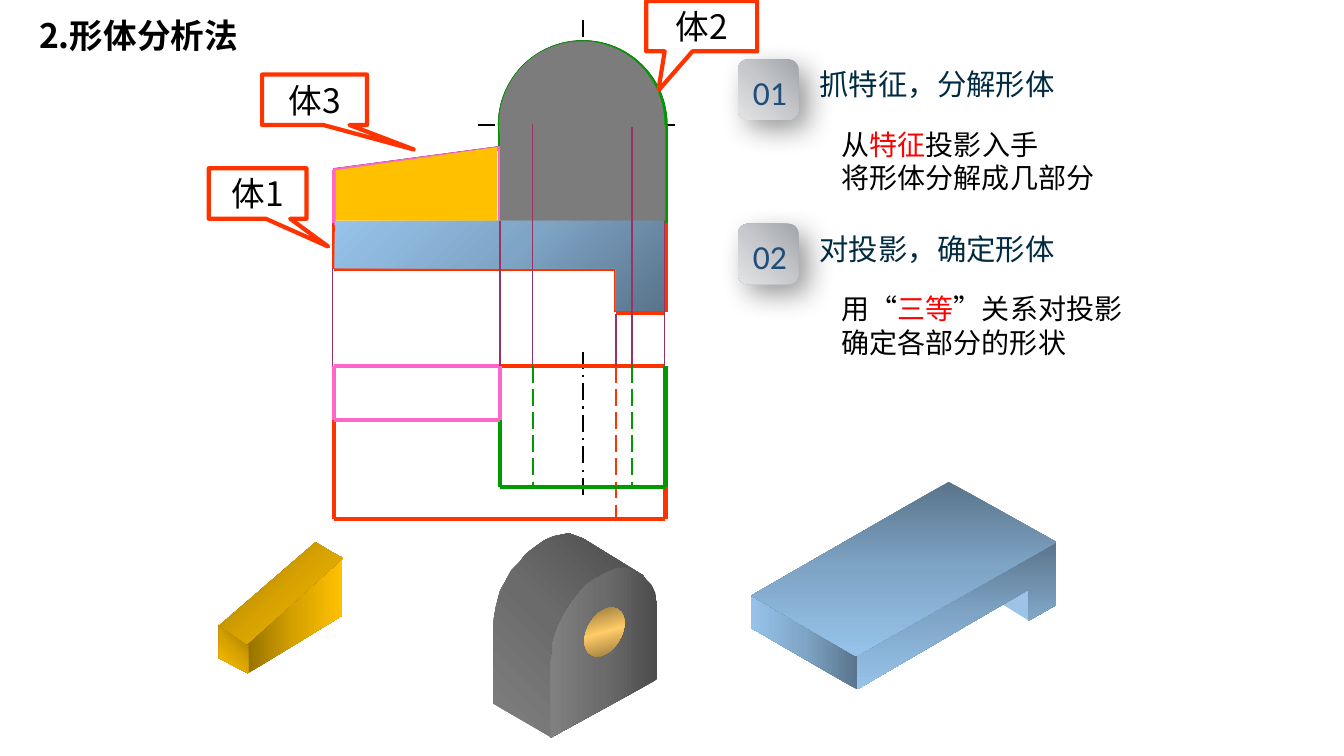
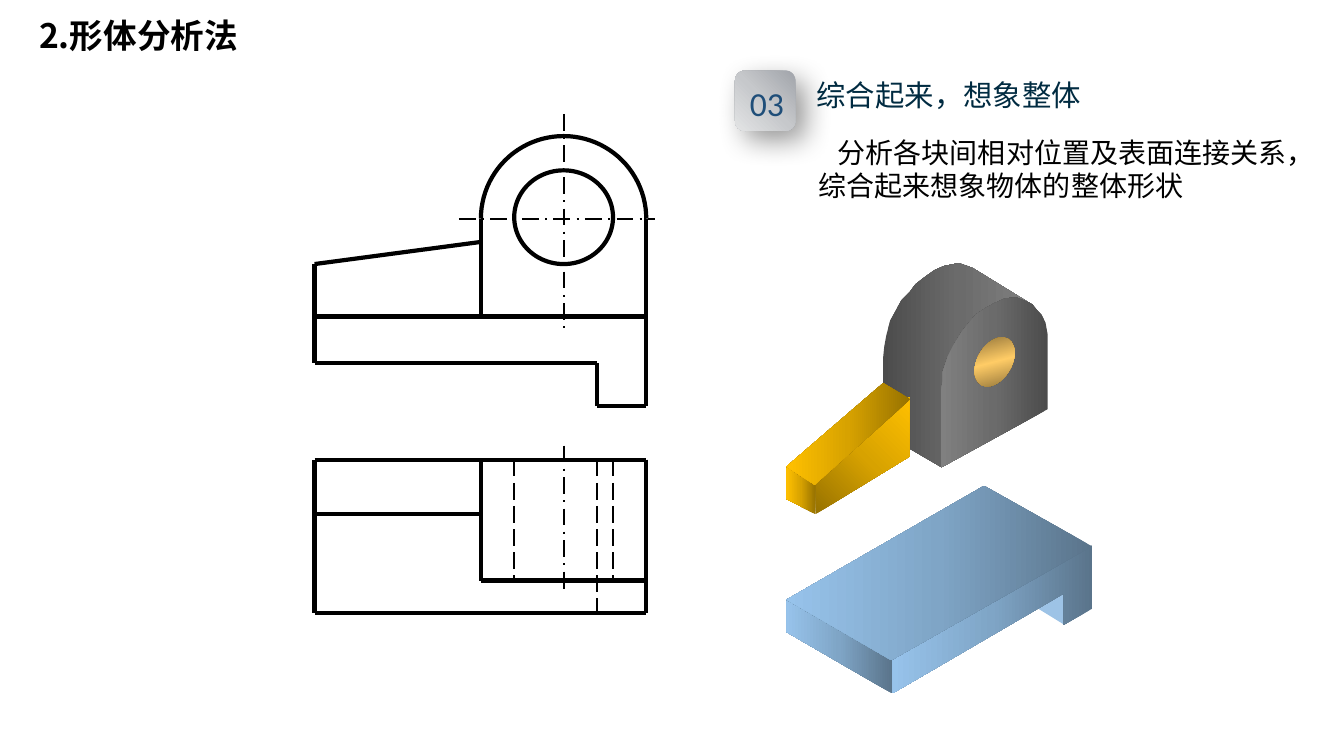
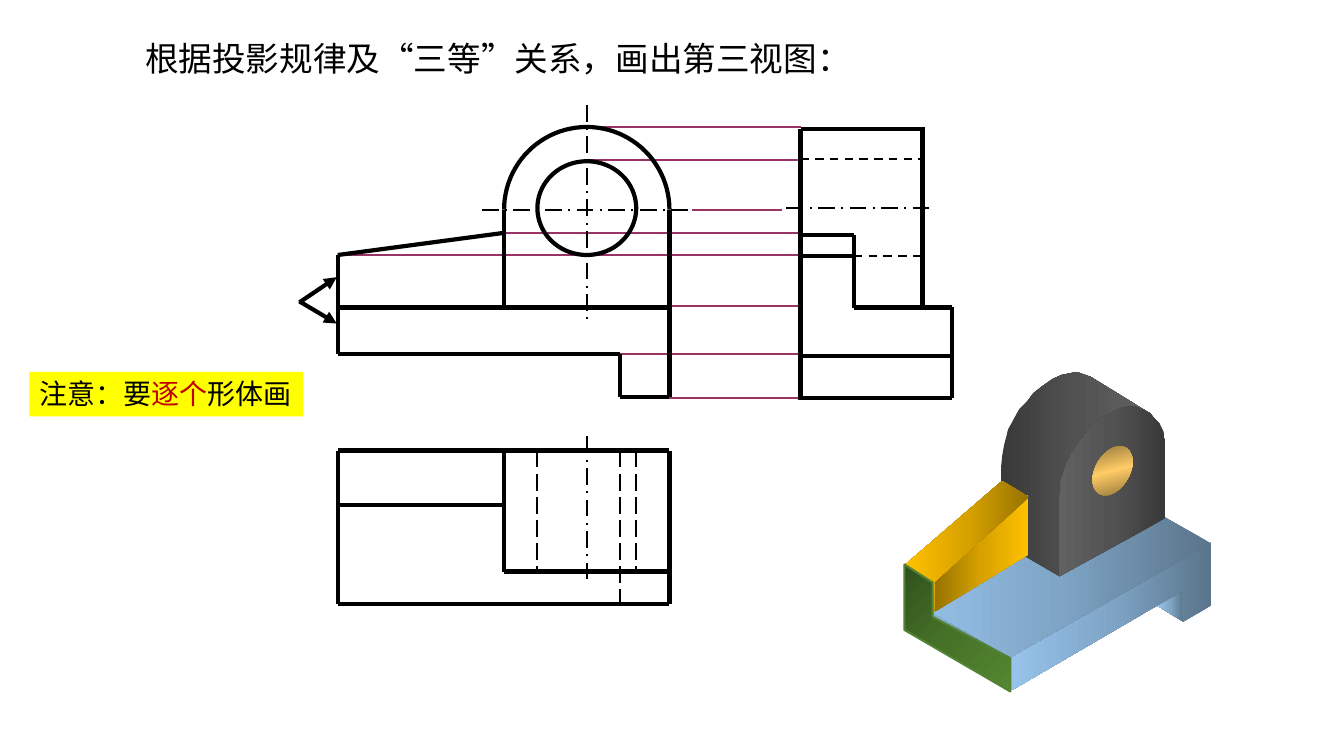
from math import cos, pi, sin

from lxml.etree import SubElement
from pptx import Presentation
from pptx.dml.color import RGBColor
from pptx.enum.dml import MSO_LINE
from pptx.enum.shapes import MSO_CONNECTOR, MSO_SHAPE
from pptx.enum.text import MSO_ANCHOR, MSO_AUTO_SIZE, PP_ALIGN
from pptx.oxml.ns import qn
from pptx.util import Inches, Pt

BLACK, WHITE, RED = "000000", "FFFFFF", "FF0000"
ORANGE, GREEN, PINK, MAUVE = "FF3300", "009900", "FF66CC", "993366"
BLUES = ("5A748B", "7FA5C6", "97C3EB")
GOLDS = ("977200", "D7A200", "FFC000")
GRAYS = ("4C4C4C", "6B6B6B", "808080")
DARK_GRAYS = ("393939", "525252", "616161")
BRASS = ("765E2F", "FFCC66", "765E2F")
GREENS = ("31501C", "467228", "538730")
SILVERS = ("A1A4AA", "C6C8CB", "E3E4E5")
CJK, LATIN = "Noto Sans CJK SC", "Calibri"

LEFT, MIDDLE, BORE_LEFT, CENTRE, FOOT, BORE_RIGHT, RIGHT = 3.31, 4.96, 5.29, 5.78, 6.11, 6.27, 6.6
ARCH_TOP, AXIS, PEAK, SLOPE_END, BASE, UNDER, BOTTOM = 0.42, 1.24, 1.47, 1.69, 2.21, 2.67, 3.1
BACK, RIB_FRONT, ARCH_FRONT, FRONT = 3.63, 4.17, 4.83, 5.15
RADIUS = RIGHT - CENTRE

SLAB_LINES = [
    (LEFT, BASE, RIGHT, BASE), (FOOT, BOTTOM, RIGHT, BOTTOM), (LEFT, UNDER, FOOT, UNDER),
    (LEFT, BASE, LEFT, UNDER), (FOOT, BOTTOM, FOOT, UNDER), (RIGHT, BASE, RIGHT, BOTTOM),
    (RIGHT, BACK, RIGHT, FRONT), (LEFT, FRONT, RIGHT, FRONT), (LEFT, BACK, RIGHT, BACK),
    (LEFT, BACK, LEFT, FRONT),
]
SLAB_HIDDEN = [(FOOT, BACK, FOOT, FRONT)]
ARCH_LINES = [
    (RIGHT, BASE, RIGHT, AXIS), (MIDDLE, AXIS, MIDDLE, BASE), (MIDDLE, BACK, MIDDLE, ARCH_FRONT),
    (MIDDLE, ARCH_FRONT, RIGHT, ARCH_FRONT), (RIGHT, BACK, RIGHT, ARCH_FRONT),
]
ARCH_HIDDEN = [(x, BACK, x, ARCH_FRONT) for x in (BORE_LEFT, BORE_RIGHT)]
RIB_LINES = [
    (LEFT, SLOPE_END, MIDDLE, PEAK), (LEFT, BASE, LEFT, SLOPE_END), (LEFT, RIB_FRONT, MIDDLE, RIB_FRONT),
]
RIB_CLOSING = [
    (MIDDLE, BASE, LEFT, BASE), (MIDDLE, BASE, MIDDLE, PEAK), (LEFT, BACK, MIDDLE, BACK),
    (LEFT, BACK, LEFT, RIB_FRONT), (MIDDLE, BACK, MIDDLE, RIB_FRONT),
]

SLAB_UNDERSIDE = [(2.5, 1.22), (2.76, 1.38), (2.76, 1.06)]
SLAB_FACES = [
    [(0, 1.12), (1.05, 1.73), (1.05, 2.06), (0, 1.45)],
    [(1.05, 1.71), (1.05, 2.06), (2.75, 1.07), (2.75, 1.38), (3.03, 1.22), (3.03, 0.59)],
    [(0, 1.13), (1.96, 0), (3.03, 0.6), (1.04, 1.73)],
]
ARCH_FACES = [
    [(0.57, 2.02), (0, 1.69), (0, 0.93), (0.01, 0.83), (0.03, 0.72), (0.07, 0.57), (0.12, 0.48),
     (0.18, 0.37), (0.26, 0.29), (0.32, 0.21), (0.41, 0.14), (0.51, 0.07), (0.6, 0.03), (0.75, 0),
     (0.89, 0.05), (1.49, 0.42), (1.41, 0.38), (1.29, 0.36), (1.21, 0.37), (1.14, 0.41), (1.05, 0.45),
     (0.97, 0.51), (0.91, 0.56), (0.85, 0.64), (0.77, 0.71), (0.72, 0.8), (0.66, 0.92), (0.61, 1.08),
     (0.59, 1.19), (0.58, 1.29)],
    [(0.57, 2.03), (1.63, 1.45), (1.63, 0.7), (1.61, 0.59), (1.57, 0.51), (1.52, 0.46), (1.48, 0.41),
     (1.42, 0.38), (1.32, 0.34), (1.21, 0.35), (1.1, 0.4), (1.01, 0.45), (0.92, 0.51), (0.86, 0.58),
     (0.78, 0.68), (0.7, 0.81), (0.64, 0.93), (0.59, 1.08), (0.59, 1.17), (0.57, 1.28)],
]
RIB_FACES = [
    [(1.22, 0.14), (1.22, 0.73), (0.29, 1.3), (0.29, 0.98)],
    [(0, 0.82), (0.29, 1), (0.29, 1.3), (0, 1.15)],
    [(0, 0.83), (0.28, 1.01), (1.23, 0.16), (0.96, 0)],
]


def rgb(value):
    """Turn a hex string into a colour."""
    return RGBColor.from_string(value)


def shade(shape, colors, direction):
    """Fill with a gradient along an angle, or around a (l, t, r, b) focus."""
    shape.fill.gradient()
    gradient = shape.element.spPr.find(qn("a:gradFill"))
    gradient.clear()
    gradient.set("rotWithShape", "1")
    stops = SubElement(gradient, qn("a:gsLst"))
    for position, color in zip((0, 50000, 100000), colors):
        stop = SubElement(stops, qn("a:gs"), pos=str(position))
        SubElement(stop, qn("a:srgbClr"), val=color)
    if isinstance(direction, tuple):
        focus = SubElement(gradient, qn("a:path"))
        focus.set("path", "circle")
        edges = {side: str(share * 1000) for side, share in zip("ltrb", direction)}
        SubElement(focus, qn("a:fillToRect"), **edges)
    else:
        SubElement(gradient, qn("a:lin"), ang=str(direction * 60000), scaled="0")


def paint(shape, fill=None, direction=0, outline=None, width=3):
    """Set the fill and outline and drop the theme shadow."""
    shape.shadow.inherit = False
    if fill is None:
        shape.fill.background()
    elif isinstance(fill, tuple):
        shade(shape, fill, direction)
    else:
        shape.fill.solid()
        shape.fill.fore_color.rgb = rgb(fill)
    if outline:
        shape.line.color.rgb = rgb(outline)
        shape.line.width = Pt(width)
    else:
        shape.line.fill.background()
    return shape


def preset(slide, kind, box, **look):
    """Add a painted preset shape."""
    return paint(slide.shapes.add_shape(kind, *map(Inches, box)), **look)


def outline(slide, points, origin=(0, 0), close=True, **look):
    """Add a painted freeform through points measured from an origin."""
    corners = [(Inches(x + origin[0]), Inches(y + origin[1])) for x, y in points]
    builder = slide.shapes.build_freeform(*corners[0])
    builder.add_line_segments(corners[1:], close=close)
    return paint(builder.convert_to_shape(), **look)


def lines(slide, segments, color=BLACK, width=3, dash=None, shift=(0, 0), arrow=False):
    """Draw straight segments in one line style."""
    dx, dy = shift
    for x1, y1, x2, y2 in segments:
        ends = map(Inches, (x1 + dx, y1 + dy, x2 + dx, y2 + dy))
        edge = slide.shapes.add_connector(MSO_CONNECTOR.STRAIGHT, *ends)
        edge.line.color.rgb = rgb(color)
        edge.line.width = Pt(width)
        if dash:
            edge.line.dash_style = dash
        properties = edge.element.spPr
        if arrow:
            SubElement(properties.find(qn("a:ln")), qn("a:tailEnd"), type="triangle")
        SubElement(properties, qn("a:effectLst"))


def write(shape, paragraphs, size, color=BLACK, accent=RED, font=CJK, bold=False, align=PP_ALIGN.LEFT,
          indent=0, **frame_format):
    """Write paragraphs whose parts between bars take the accent colour."""
    frame = shape.text_frame
    defaults = {"word_wrap": True, "auto_size": MSO_AUTO_SIZE.SHAPE_TO_FIT_TEXT,
                "vertical_anchor": MSO_ANCHOR.MIDDLE}
    for name, value in {**defaults, **frame_format}.items():
        setattr(frame, name, value)
    for index, content in enumerate(paragraphs):
        paragraph = frame.paragraphs[0] if index == 0 else frame.add_paragraph()
        paragraph.alignment = align
        if indent:
            paragraph.element.get_or_add_pPr().set("indent", str(Inches(indent))) if hasattr(
                paragraph, "element") else paragraph._p.get_or_add_pPr().set("indent", str(Inches(indent)))
        for part, words in enumerate(content.split("|")):
            run = paragraph.add_run()
            run.text = words
            for name, value in {"size": Pt(size), "name": font, "bold": bold}.items():
                setattr(run.font, name, value)
            run.font.color.rgb = rgb(accent if part % 2 else color)
            SubElement(run._r.get_or_add_rPr(), qn("a:ea"), typeface=font)


def label(slide, box, paragraphs, size, **style):
    """Add a text box."""
    write(slide.shapes.add_textbox(*map(Inches, box)), paragraphs, size, **style)


def title(slide):
    """Add the section title."""
    label(slide, (0.29, 0.1, 2.52, 0.5), ["2.形体分析法"], 24, bold=True)


def step(slide, number, heading, x, y):
    """Add a numbered badge with its heading."""
    badge = preset(slide, MSO_SHAPE.ROUNDED_RECTANGLE, (x, y, 0.6, 0.6), fill=SILVERS, direction=135)
    shadow = SubElement(badge.element.spPr.find(qn("a:effectLst")), qn("a:outerShdw"),
                        blurRad=str(Pt(20)), dist=str(Pt(10)), dir=str(45 * 60000), algn="tl", rotWithShape="0")
    tint = SubElement(shadow, qn("a:srgbClr"), val=BLACK)
    SubElement(tint, qn("a:alpha"), val="40000")
    label(slide, (x + 0.05, y + 0.07, 0.54, 0.5), [number], 24, color="1F4E79", font=LATIN,
          word_wrap=False, vertical_anchor=MSO_ANCHOR.TOP)
    label(slide, (x + 0.71, y + 0.02, 3.04, 0.45), [heading], 21, color="002B41",
          vertical_anchor=MSO_ANCHOR.TOP)


def callout(slide, words, box, tail):
    """Add a callout naming one body."""
    bubble = preset(slide, MSO_SHAPE.RECTANGULAR_CALLOUT, box, fill=WHITE, outline=ORANGE)
    for index, share in enumerate(tail):
        bubble.adjustments[index] = share
    write(bubble, [words], 24, align=PP_ALIGN.CENTER, word_wrap=False, auto_size=MSO_AUTO_SIZE.NONE)


def slab_views(slide, color=BLACK, shift=(0, 0)):
    """Draw the front and top views of the slab."""
    lines(slide, SLAB_LINES, color, shift=shift)
    lines(slide, SLAB_HIDDEN, color, 1.5, MSO_LINE.LONG_DASH, shift)


def arch_views(slide, color=BLACK, shift=(0, 0)):
    """Draw the front and top views of the arch."""
    dx, dy = shift
    preset(slide, MSO_SHAPE.OVAL, (BORE_LEFT + dx, 0.76 + dy, 0.98, 0.93), outline=color)
    turns = [pi * index / 48 for index in range(49)]
    rim = [(CENTRE - RADIUS * cos(turn), AXIS - RADIUS * sin(turn)) for turn in turns]
    outline(slide, rim, shift, close=False, outline=color)
    lines(slide, ARCH_LINES, color, shift=shift)
    lines(slide, ARCH_HIDDEN, color, 1.5, MSO_LINE.LONG_DASH, shift)


def rib_views(slide, color=BLACK, shift=(0, 0)):
    """Draw the front and top views of the rib."""
    lines(slide, RIB_LINES, color, shift=shift)


def views(slide, shift=(0, 0), axis_end=6.69):
    """Draw both views of the whole object with their centre lines."""
    axes = [(CENTRE, 0.2, CENTRE, 2.37), (4.74, AXIS, axis_end, AXIS), (CENTRE, 3.49, CENTRE, 4.94)]
    lines(slide, axes, width=1.5, dash=MSO_LINE.LONG_DASH_DOT, shift=shift)
    for body in (slab_views, arch_views, rib_views):
        body(slide, shift=shift)


def solid(slide, faces, origin, colors, directions):
    """Draw the shaded faces of a body."""
    for face, direction in zip(faces, directions):
        outline(slide, face, origin, fill=colors, direction=direction)


def slab(slide, origin, directions, underside="9DC3E6"):
    """Draw the solid slab."""
    outline(slide, SLAB_UNDERSIDE, origin, fill=underside, direction=180)
    solid(slide, SLAB_FACES, origin, BLUES, directions)


def arch(slide, origin, directions, colors=GRAYS):
    """Draw the solid arch with its bore."""
    solid(slide, ARCH_FACES, origin, colors, directions)
    bore = preset(slide, MSO_SHAPE.OVAL, (origin[0] + 0.84, origin[1] + 0.81, 0.53, 0.34),
                  fill=BRASS, direction=315)
    bore.rotation = 300.2


def decompose(slide):
    """Build the slide that splits the object into bodies."""
    views(slide)
    slab_views(slide, ORANGE)
    callout(slide, "体1", (2.07, 1.67, 0.97, 0.5), (0.722, 1.052))
    arch_views(slide, GREEN)
    rib_views(slide, PINK)
    lines(slide, RIB_CLOSING, PINK)
    callout(slide, "体2", (6.41, 0.01, 1.1, 0.5), (-0.391, 1.278))
    callout(slide, "体3", (2.6, 0.74, 1.04, 0.5), (0.946, 0.986))
    label(slide, (8.25, 1.21, 3.81, 0.77), ["从|特征|投影入手", "将形体分解成几部分"], 20)
    label(slide, (8.25, 2.84, 4.27, 0.77), ["用“|三等|”关系对投影", "确定各部分的形状"], 20)
    arch(slide, (4.89, 5.29), ((100, 0, 0, 100), 180))
    solid(slide, RIB_FACES, (2.17, 5.38), GOLDS, (0, 135, 45))
    slab(slide, (7.45, 4.78), (180, 90, 90))
    slab_front = [(3.32, 2.19), (6.58, 2.19), (6.58, 3.08), (FOOT, 3.08), (FOOT, 2.66), (3.32, 2.66)]
    outline(slide, slab_front, fill=BLUES, direction=(100, 100, 0, 0))
    preset(slide, MSO_SHAPE.OVAL, (4.95, 0.41, 1.64, 1.64), fill="7C7C7C")
    preset(slide, MSO_SHAPE.RECTANGLE, (MIDDLE, AXIS, 1.64, 0.95), fill="7C7C7C")
    outline(slide, [(3.33, 1.69), (4.93, 1.46), (4.93, 2.19), (3.33, 2.19)], fill="FFC000")
    drops = [(3.3, 2.66), (FOOT, 3.12), (MIDDLE, 2.19), (6.59, 2.19), (5.28, 1.23), (BORE_RIGHT, 1.26)]
    lines(slide, [(x, top, x, BACK) for x, top in drops], MAUVE, 1)
    title(slide)
    step(slide, "01", "抓特征，分解形体", 7.32, 0.59)
    step(slide, "02", "对投影，确定形体", 7.32, 2.22)


def combine(slide):
    """Build the slide that puts the bodies together."""
    slab(slide, (7.8, 4.82), (180, 180, 180))
    views(slide, (-0.19, 0.93))
    arch(slide, (8.76, 2.61), (0, 180))
    solid(slide, RIB_FACES, (7.8, 3.8), GOLDS, (315, 180, 180))
    label(slide, (8.02, 1.29, 4.85, 0.77),
          ["分析各块间相对位置及表面连接关系，综合起来想象物体的整体形状"], 20, indent=0.19)
    title(slide)
    step(slide, "03", "综合起来，想象整体", 7.29, 0.7)


def third_view(slide):
    """Build the slide that projects the side view."""
    back, rib, arch_face, face = 7.94, 8.47, 9.15, 9.44
    projections = [(6.64, 3.04), (6.64, 3.95), (3.36, 2.53), (5.82, 1.26), (5.82, 1.59), (5, 2.31), (6.15, 3.51)]
    lines(slide, [(x, y, back, y) for x, y in projections] + [(6.86, 2.08, 7.76, 2.08)], MAUVE, 1.5)
    views(slide, (0.04, 0.84), axis_end=6.82)
    label(slide, (1.34, 0.33, 7.27, 0.5), ["根据投影规律及“三等”关系，画出第三视图："], 24, word_wrap=False)
    lines(slide, [(2.97, 3, 3.34, 2.75), (2.97, 2.99, 3.34, 3.21)], arrow=True)
    lines(slide, [
        (back, 1.28, back, 3.97), (face, 3.95, face, 3.05), (back, 3.95, face, 3.95), (rib, 3.05, face, 3.05),
        (back, 1.28, 9.17, 1.28), (rib, 3.06, rib, 2.33), (back, 2.33, rib, 2.33),
        (arch_face, 1.28, arch_face, 3.05), (back, 3.53, face, 3.53), (back, 2.54, rib, 2.54),
    ])
    lines(slide, [(7.8, 2.06, 9.21, 2.06)], width=1.5, dash=MSO_LINE.LONG_DASH_DOT)
    lines(slide, [(back, 1.58, arch_face, 1.58), (rib, 2.54, arch_face, 2.54)], width=1.5, dash=MSO_LINE.DASH)
    slab(slide, (8.98, 4.79), (180, 180, 180), underside=BLUES)
    arch(slide, (9.93, 3.69), (0, 180), DARK_GRAYS)
    solid(slide, RIB_FACES, (8.98, 4.77), GOLDS, (0, 315, 180))
    flush_face = [(8.97, 5.6), (8.97, 6.25), (10.02, 6.86), (10.02, 6.53), (9.25, 6.12), (9.25, 5.78)]
    outline(slide, flush_face, fill=GREENS, direction=(0, 0, 100, 100), outline="548235", width=1.5)
    note = preset(slide, MSO_SHAPE.RECTANGLE, (0.29, 3.69, 2.72, 0.44), fill="FFFF00")
    write(note, ["注意：要|逐个|形体画"], 20, accent="C00000", vertical_anchor=MSO_ANCHOR.TOP)


def main():
    """Build and save the presentation."""
    deck = Presentation()
    deck.slide_width, deck.slide_height = Inches(13.33), Inches(7.5)
    for build in (decompose, combine, third_view):
        build(deck.slides.add_slide(deck.slide_layouts[6]))
    deck.save("out.pptx")


if __name__ == "__main__":
    main()
